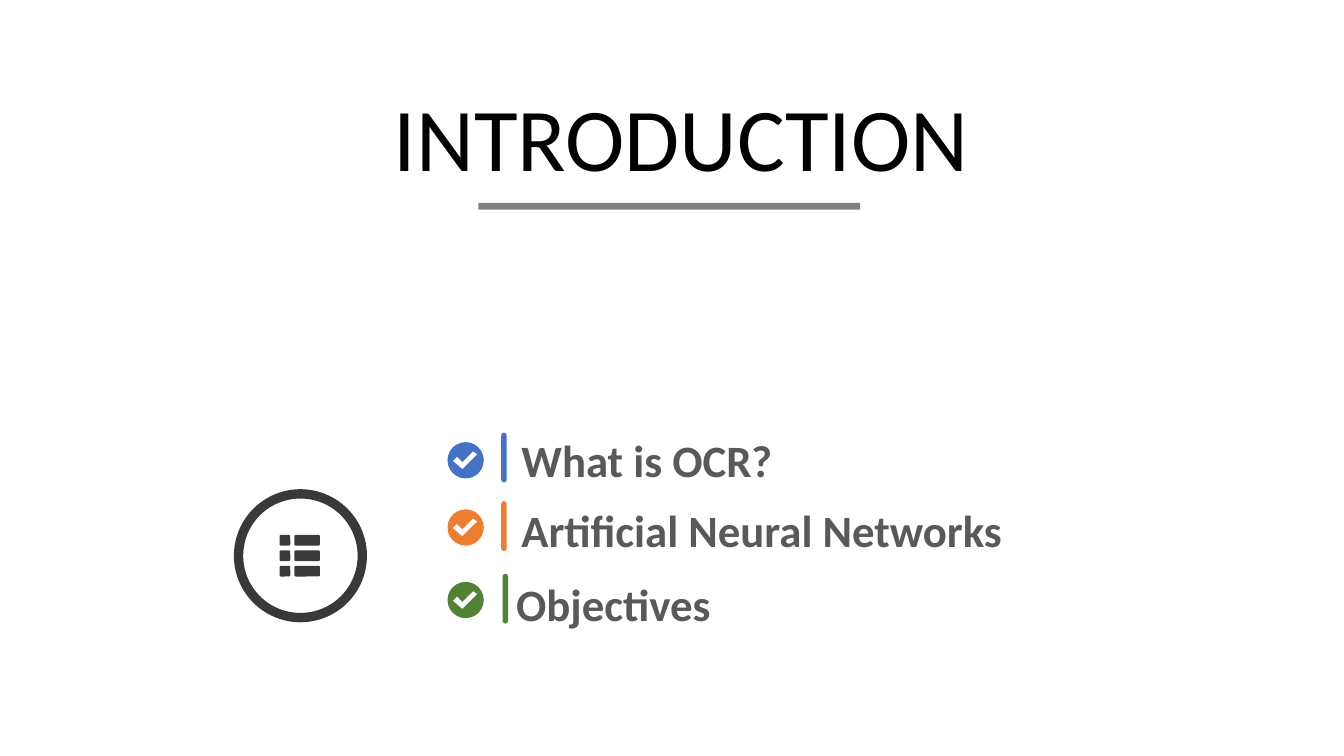
import pptx
import pptx.dml.color
import pptx.enum.shapes
import pptx.enum.text
import pptx.util

Inches = pptx.util.Inches
SHAPE = pptx.enum.shapes.MSO_SHAPE
DARK = "3B3838"
CHECK_SIZE = 0.27
CHECK_LEFT = 3.33
CHECK_MARK = [(0.11, 0.2), (0.04, 0.14), (0.07, 0.11), (0.11, 0.15), (0.19, 0.07), (0.22, 0.09)]
AGENDA = [
    ("What is OCR?", "4472C4", 3.72, 3.18, 3.73, 3.22, 3.29),
    ("Artificial Neural Networks", "ED7D31", 3.72, 3.7, 3.73, 3.73, 3.79),
    ("Objectives", "548235", 3.68, 4.25, 3.74, 4.27, 4.33),
]


def paint(shape, colour):
    """Give a shape a plain fill without line or shadow."""
    shape.shadow.inherit = False
    shape.fill.solid()
    shape.fill.fore_color.rgb = pptx.dml.color.RGBColor.from_string(colour)
    shape.line.fill.background()


def add_filled(shapes, kind, left, top, width, height, colour, adjustments=()):
    """Add a filled preset shape."""
    shape = shapes.add_shape(kind, Inches(left), Inches(top), Inches(width), Inches(height))
    for index, value in enumerate(adjustments):
        shape.adjustments[index] = value
    paint(shape, colour)


def write(shape, text, size, colour, bold, alignment):
    """Write one formatted paragraph at the top of a shape."""
    frame = shape.text_frame
    frame.word_wrap = True
    frame.auto_size = pptx.enum.text.MSO_AUTO_SIZE.SHAPE_TO_FIT_TEXT
    frame.vertical_anchor = pptx.enum.text.MSO_ANCHOR.TOP
    paragraph = frame.paragraphs[0]
    paragraph.text = text
    paragraph.alignment = alignment
    paragraph.font.name = "Calibri"
    paragraph.font.size = pptx.util.Pt(size)
    paragraph.font.bold = bold
    paragraph.font.color.rgb = pptx.dml.color.RGBColor.from_string(colour)


def add_title(slide):
    """Place the title and the rule below it."""
    title = slide.shapes.title
    title.left, title.top = Inches(2.83), Inches(0.56)
    title.width, title.height = Inches(5.83), Inches(0.91)
    write(title, "INTRODUCTION", 48, "000000", False, pptx.enum.text.PP_ALIGN.LEFT)
    add_filled(slide.shapes, SHAPE.RECTANGLE, 3.56, 1.51, 2.84, 0.05, "808080")


def add_list_icon(slide):
    """Draw the ringed list icon."""
    shapes = slide.shapes.add_group_shape().shapes
    add_filled(shapes, SHAPE.DONUT, 1.74, 3.64, 0.99, 0.99, DARK, [0.07])
    for row in range(3):
        for left, width in ((2.08, 0.08), (2.19, 0.19)):
            add_filled(shapes, SHAPE.ROUNDED_RECTANGLE, left, 3.98 + 0.23 * row / 2,
                       width, 0.08, DARK, [0.14])


def add_check(shapes, left, top, colour):
    """Draw a round badge with a white check mark."""
    add_filled(shapes, SHAPE.OVAL, left, top, CHECK_SIZE, CHECK_SIZE, colour)
    points = [(Inches(left + x), Inches(top + y)) for x, y in CHECK_MARK]
    builder = shapes.build_freeform(*points[0])
    builder.add_line_segments(points[1:], close=True)
    paint(builder.convert_to_shape(), "FFFFFF")


def add_agenda_item(slide, label, colour, text_left, text_top, bar_left, bar_top, check_top):
    """Add a badge, a coloured bar and a label."""
    shapes = slide.shapes.add_group_shape().shapes
    box = shapes.add_textbox(Inches(text_left), Inches(text_top), Inches(4.2), Inches(0.49))
    box.text_frame.margin_left = Inches(0.16)
    box.text_frame.margin_top = box.text_frame.margin_bottom = Inches(0.04)
    write(box, label, 24, "595959", True, pptx.enum.text.PP_ALIGN.JUSTIFY)
    add_filled(shapes, SHAPE.ROUND_2_SAME_RECTANGLE, bar_left, bar_top, 0.04, 0.37,
               colour, [0.5, 0.5])
    add_check(shapes, CHECK_LEFT, check_top, colour)


def main():
    """Build and save the introduction slide."""
    presentation = pptx.Presentation()
    presentation.slide_width = Inches(10)
    presentation.slide_height = Inches(10 * 9 / 16)
    slide = presentation.slides.add_slide(presentation.slide_layouts[5])
    add_title(slide)
    add_list_icon(slide)
    for item in AGENDA:
        add_agenda_item(slide, *item)
    presentation.save("out.pptx")


if __name__ == "__main__":
    main()
